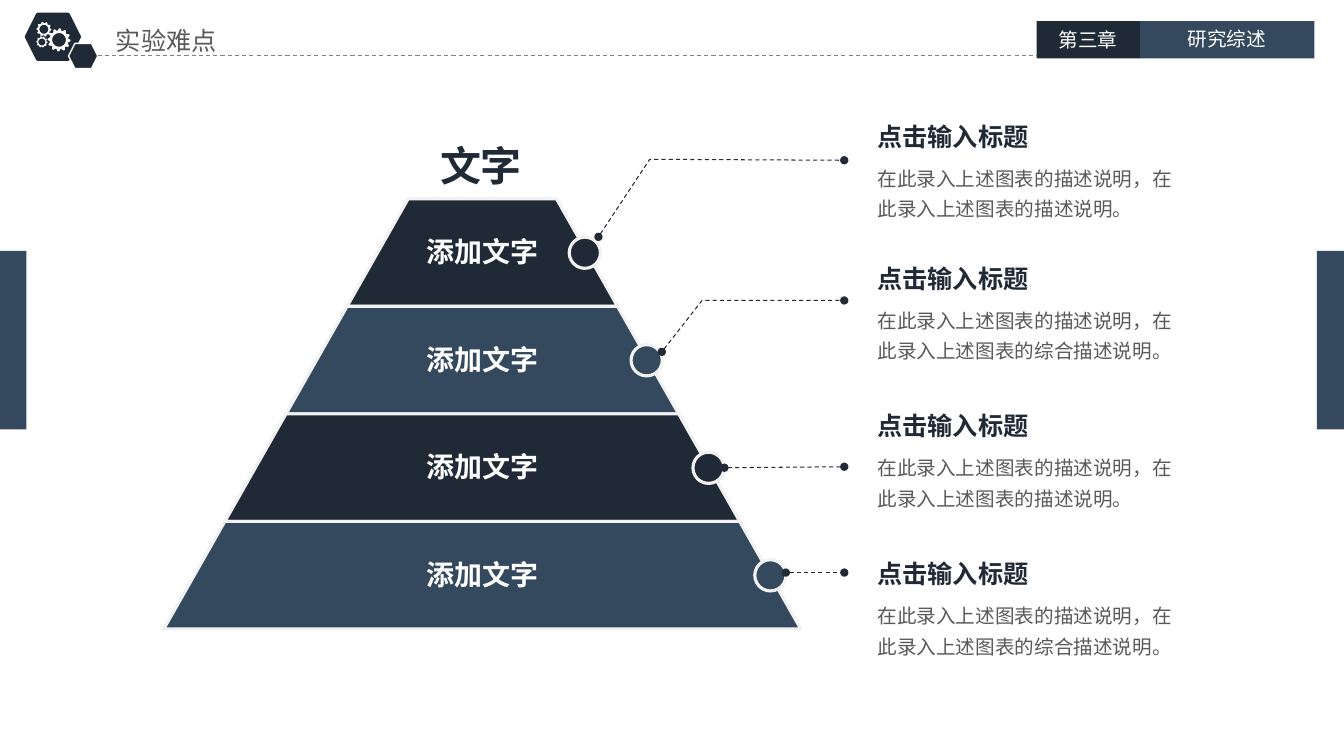
from math import cos, sin, pi
from pptx import Presentation
from pptx.util import Pt
from pptx.dml.color import RGBColor as Rgb
from pptx.enum.dml import MSO_LINE as Dash
from pptx.enum.shapes import MSO_SHAPE as Kind, MSO_CONNECTOR as Link
from pptx.enum.text import PP_ALIGN as Align
from pptx.oxml.ns import qn
from lxml.etree import SubElement as Sub

theme = {
    "dark": Rgb(0x20, 0x2A, 0x36),
    "blue": Rgb(0x34, 0x49, 0x5E),
    "wire": Rgb(0x22, 0x2A, 0x35),
    "rule": Rgb(0x80, 0x80, 0x80),
    "gray": Rgb(0x59, 0x59, 0x59),
    "pale": Rgb(0xF2, 0xF2, 0xF2),
    "white": Rgb(0xFF, 0xFF, 0xFF),
    "font": "Noto Sans CJK SC",
    "top": 29.3, "tier": 20, "head": 18, "body": 14,
}

deck = Presentation()
deck.slide_width, deck.slide_height = Pt(960.48), Pt(540)
slide = deck.slides.add_slide(deck.slide_layouts[6])
shapes = slide.shapes


def paint(shape, fill, edge=None, width=0):
    shape.shadow.inherit = False
    shape.fill.solid()
    shape.fill.fore_color.rgb = theme[fill]
    if edge:
        shape.line.color.rgb = theme[edge]
        shape.line.width = Pt(width)
    else:
        shape.line.fill.background()


def write(text, box, size, color, inset=(7.2, 3.6), wrap=True,
          bold=False, align=None, space=None, name=theme["font"]):
    frame = shapes.add_textbox(*map(Pt, box)).text_frame
    form = {"word_wrap": wrap, "margin_left": Pt(inset[0]), "margin_right": Pt(inset[0]),
            "margin_top": Pt(inset[1]), "margin_bottom": Pt(inset[1])}
    for key, val in form.items():
        setattr(frame, key, val)
    para = frame.paragraphs[0]
    for key, val in {"alignment": align, "line_spacing": space}.items():
        setattr(para, key, val)
    run = para.add_run()
    run.text = text
    for key, val in {"size": Pt(theme[size]), "bold": bold, "name": name}.items():
        setattr(run.font, key, val)
    run.font.color.rgb = theme[color]
    Sub(run.font._element, qn("a:ea"), typeface=theme["font"])


blocks = [
    (Kind.HEXAGON, (18.7, 10.1, 38.2, 32.4), "dark", "dark", 2),
    (Kind.RECTANGLE, (740.9, 15.1, 73.8, 26.6), "dark", None, 0),
    (Kind.RECTANGLE, (814.7, 15.1, 124.6, 26.6), "blue", None, 0),
    (Kind.HEXAGON, (49, 31, 20.9, 18), "dark", "white", 1),
    (Kind.RECTANGLE, (0, 179.3, 19, 127.4), "blue", None, 0),
    (Kind.RECTANGLE, (941.2, 179.3, 19.28, 127.4), "blue", None, 0),
]
for kind, box, *look in blocks:
    paint(shapes.add_shape(kind, *map(Pt, box)), *look)

edge = (5, 2.9)
write("实验难点", (77.8, 15.1, 147.6, 27.4), "head", "gray", edge)
write("第三章", (740.9, 17.1, 73.4, 22.3), "body", "white", edge, align=Align.CENTER)
write("研究综述", (814.5, 16.6, 124.6, 22.3), "body", "white", edge, align=Align.CENTER)

for x, y, size, hole, teeth in [(42.2, 28.5, 8.2, 4.9, 12),
                                (31.4, 20.9, 5.3, 3.2, 10), (30, 30, 4, 2.5, 10)]:
    rim = []
    for step in range(teeth * 4):
        far = size if step % 4 < 2 else size * 0.82
        turn = 2 * pi * step / (teeth * 4)
        rim.append((Pt(x + far * cos(turn)), Pt(y + far * sin(turn))))
    ring = [(Pt(x + hole * cos(pi * step / 16)), Pt(y - hole * sin(pi * step / 16)))
            for step in range(32)]
    gear = shapes.build_freeform(*rim[0])
    gear.add_line_segments(rim[1:])
    gear.move_to(*ring[0])
    gear.add_line_segments(ring[1:])
    paint(gear.convert_to_shape(), "white")

mid, top, half, high, grow = 344.7, 142, 53, 76.8, 43.65
tones = ["dark", "blue"] * 2
for row, tone in enumerate(tones):
    y = top + row * high
    near, far = half + row * grow, half + (row + 1) * grow
    tier = shapes.build_freeform(Pt(mid - near), Pt(y))
    tier.add_line_segments([(Pt(mid - far), Pt(y + high)), (Pt(mid + far), Pt(y + high)),
                            (Pt(mid + near), Pt(y))])
    paint(tier.convert_to_shape(), tone, "pale", 2.25)

for row, tone in enumerate(tones):
    y = top + row * high
    write("添加文字", (mid - 75, y + 23.6, 150, 28.8), "tier", "white", (5, 2.2),
          bold=True, align=Align.CENTER)
    knob = shapes.add_shape(Kind.OVAL, Pt(406.8 + row * 44.2), Pt(y + 27.4), Pt(22.3), Pt(22.3))
    paint(knob, tone, "pale", 2.25)

end = 603.4
wires = [
    ("rule", [(69.9, 39.6), (740.9, 39.6)]),
    ("wire", [(427.7, 169.2), (464.4, 113.8), (end, 114.5)]),
    ("wire", [(473, 251.3), (501.8, 214.6), (end, 214.6)]),
    ("wire", [(517.7, 334.1), (end, 333.4)]),
    ("wire", [(561.6, 409), (end, 409)]),
]
for tone, spots in wires:
    spots = [(Pt(x), Pt(y)) for x, y in spots]
    if len(spots) == 2:
        wire = shapes.add_connector(Link.STRAIGHT, *spots[0], *spots[1])
        Sub(wire._element.spPr, qn("a:effectLst"))
    else:
        path = shapes.build_freeform(*spots[0])
        path.add_line_segments(spots[1:], close=False)
        wire = path.convert_to_shape()
        wire.fill.background()
        wire.shadow.inherit = False
    wire.line.color.rgb = theme[tone]
    for key, val in {"width": Pt(0.75), "dash_style": Dash.DASH}.items():
        setattr(wire.line, key, val)
    if tone == "wire":
        for tip in ("a:headEnd", "a:tailEnd"):
            Sub(wire.line._get_or_add_ln(), qn(tip), type="oval")

notes = [(82.8, ""), (184.3, "综合"), (289.6, ""), (395.3, "综合")]
for y, extra in notes:
    write("点击输入标题", (620, y, 124, 28.8), "head", "dark", wrap=False, bold=True)
    write(f"在此录入上述图表的描述说明，在此录入上述图表的{extra}描述说明。",
          (620, y + 27.5, 234.7, 49), "body", "gray", space=1.3)

write("文字", (307.4, 96.5, 74.2, 42.5), "top", "dark", wrap=False, bold=True, name="Arial")

deck.save("out.pptx")
